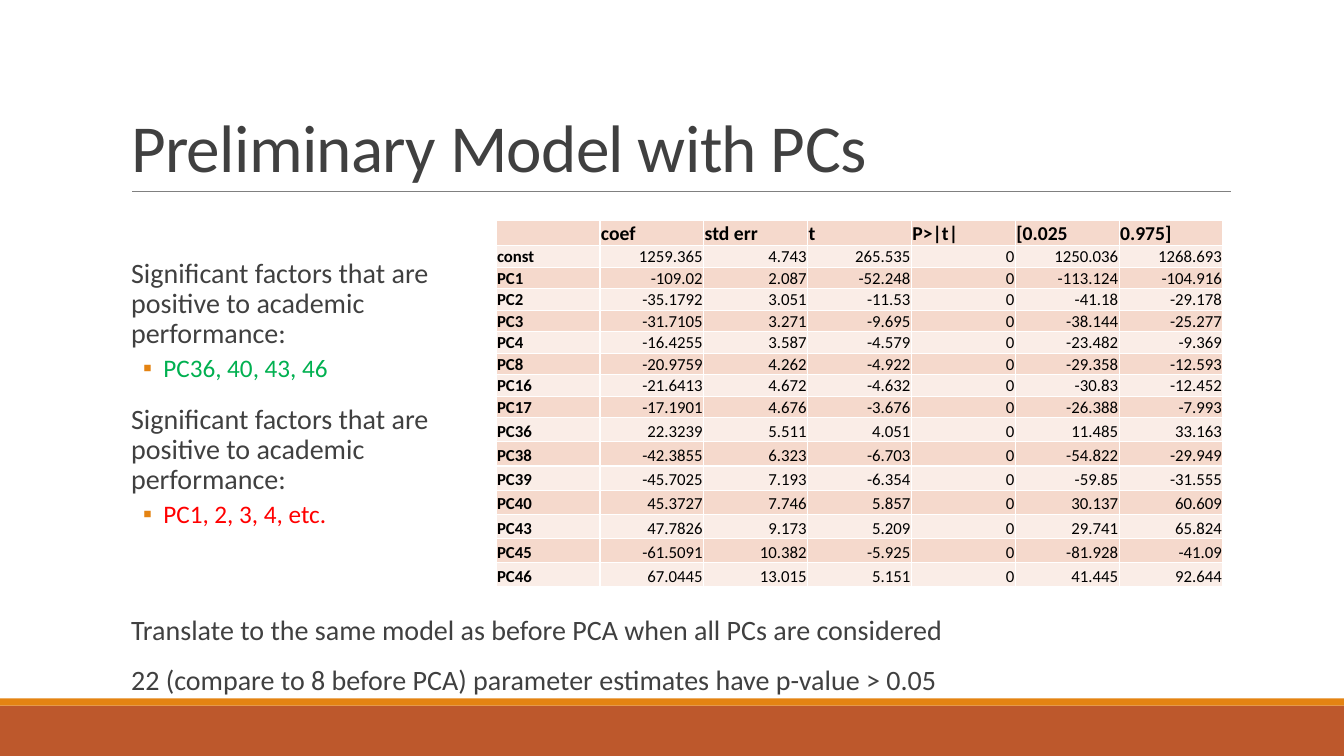
from lxml import etree
from pptx import Presentation
from pptx import util as u
from pptx.dml.color import RGBColor
from pptx.enum import shapes, text
from pptx.oxml.ns import qn

COLORS = {
    "ink": "404040", "black": "000000", "white": "FFFFFF", "rule": "808080",
    "rust": "BD582C", "orange": "E48312", "green": "00B050", "red": "FF0000",
    "band_dark": "F5D9CC", "band_light": "FAEDE7",
}

HEADER = ["", "coef", "std err", "t", "P>|t|", "[0.025", "0.975]"]
ESTIMATES = """
const 1259.365 4.743 265.535 0 1250.036 1268.693
PC1 -109.02 2.087 -52.248 0 -113.124 -104.916
PC2 -35.1792 3.051 -11.53 0 -41.18 -29.178
PC3 -31.7105 3.271 -9.695 0 -38.144 -25.277
PC4 -16.4255 3.587 -4.579 0 -23.482 -9.369
PC8 -20.9759 4.262 -4.922 0 -29.358 -12.593
PC16 -21.6413 4.672 -4.632 0 -30.83 -12.452
PC17 -17.1901 4.676 -3.676 0 -26.388 -7.993
PC36 22.3239 5.511 4.051 0 11.485 33.163
PC38 -42.3855 6.323 -6.703 0 -54.822 -29.949
PC39 -45.7025 7.193 -6.354 0 -59.85 -31.555
PC40 45.3727 7.746 5.857 0 30.137 60.609
PC43 47.7826 9.173 5.209 0 29.741 65.824
PC45 -61.5091 10.382 -5.925 0 -81.928 -41.09
PC46 67.0445 13.015 5.151 0 41.445 92.644
"""
ROW_HEIGHTS = [0.15] + [0.13] * 8 + [0.24] * 7

FACTORS = "Significant factors that are positive to academic performance:"
FINDINGS = [
    (FACTORS, 0, "ink"),
    ("PC36, 40, 43, 46", 1, "green"),
    (FACTORS, 0, "ink"),
    ("PC1, 2, 3, 4, etc.", 1, "red"),
]
REMARKS = [
    ("Translate to the same model as before PCA when all PCs are considered", 0, "ink"),
    ("22 (compare to 8 before PCA) parameter estimates have p-value > 0.05", 0, "ink"),
]


def rgb(name):
    return RGBColor.from_string(COLORS[name])


class SlideBuilder:
    font = "Calibri"
    # per level: size, left margin, indent, space before, space after, bullet
    levels = [(20, 0.1, -0.1, 12, 2, " "), (18, 0.42, -0.2, 2, 4, "▪")]

    def __init__(self, slide):
        self.slide = slide

    def place(self, shape, left, top, width, height):
        shape.left, shape.top = u.Inches(left), u.Inches(top)
        shape.width, shape.height = u.Inches(width), u.Inches(height)

    def style(self, paragraph, size, color, bold=False):
        for run in paragraph.runs:
            run.font.name = self.font
            run.font.size = u.Pt(size)
            run.font.bold = bold
            run.font.color.rgb = rgb(color)

    def bar(self, top, height, color):
        bar = self.slide.shapes.add_shape(
            shapes.MSO_SHAPE.RECTANGLE, 0, u.Inches(top), u.Inches(13.33), u.Inches(height))
        bar.shadow.inherit = False
        bar.fill.solid()
        bar.fill.fore_color.rgb = rgb(color)
        bar.line.fill.background()

    def rule(self, left, right, top):
        rule = self.slide.shapes.add_connector(
            shapes.MSO_CONNECTOR.STRAIGHT,
            u.Inches(left), u.Inches(top), u.Inches(right), u.Inches(top))
        rule.line.color.rgb = rgb("rule")
        rule.line.width = u.Pt(0.5)
        etree.SubElement(rule._element.spPr, qn("a:effectLst"))

    def title(self, wording, *box):
        title = self.slide.shapes.title
        self.place(title, *box)
        frame = title.text_frame
        frame.text = wording
        frame.auto_size = text.MSO_AUTO_SIZE.NONE
        frame.vertical_anchor = text.MSO_ANCHOR.BOTTOM
        paragraph = frame.paragraphs[0]
        paragraph.alignment = text.PP_ALIGN.LEFT
        paragraph.line_spacing = 0.85
        self.style(paragraph, 48, "ink")
        paragraph.runs[0]._r.get_or_add_rPr().set("spc", "-50")

    def bullet(self, paragraph, margin, indent, mark):
        props = paragraph._p.get_or_add_pPr()
        props.set("marL", str(u.Inches(margin)))
        props.set("indent", str(u.Inches(indent)))
        color = etree.SubElement(props, qn("a:buClr"))
        etree.SubElement(color, qn("a:srgbClr"), val=COLORS["orange"])
        etree.SubElement(props, qn("a:buFont"), typeface=self.font)
        etree.SubElement(props, qn("a:buChar"), char=mark)

    def outline(self, shape, items, top_inset=0.05):
        """Fill a text shape with (wording, level, color) items."""
        frame = shape.text_frame
        frame.word_wrap = True
        frame.auto_size = text.MSO_AUTO_SIZE.NONE
        frame.vertical_anchor = text.MSO_ANCHOR.TOP
        frame.margin_left = frame.margin_right = 0
        frame.margin_top, frame.margin_bottom = u.Inches(top_inset), u.Inches(0.05)
        frame.text = "\n".join(wording for wording, _, _ in items)
        for paragraph, (_, level, color) in zip(frame.paragraphs, items):
            size, margin, indent, before, after, mark = self.levels[level]
            paragraph.level = level
            paragraph.alignment = text.PP_ALIGN.LEFT
            paragraph.line_spacing = 0.9
            paragraph.space_before, paragraph.space_after = u.Pt(before), u.Pt(after)
            self.bullet(paragraph, margin, indent, mark)
            self.style(paragraph, size, color)

    def body(self, items, *box):
        body = self.slide.placeholders[1]
        self.place(body, *box)
        self.outline(body, items, top_inset=0.55)

    def text_box(self, items, *box):
        remarks = self.slide.shapes.add_textbox(*map(u.Inches, box))
        self.outline(remarks, items)

    def borders(self, cell):
        props = cell._tc.get_or_add_tcPr()
        for side in "LRTB":
            edge = etree.SubElement(props, qn(f"a:ln{side}"), w=str(u.Pt(1)))
            fill = etree.SubElement(edge, qn("a:solidFill"))
            etree.SubElement(fill, qn("a:srgbClr"), val=COLORS["white"])

    def cell(self, cell, value, row, column):
        self.borders(cell)
        cell.fill.solid()
        cell.fill.fore_color.rgb = rgb("band_light" if row % 2 else "band_dark")
        cell.vertical_anchor = text.MSO_ANCHOR.BOTTOM
        cell.margin_left = cell.margin_right = cell.margin_top = u.Inches(0.01)
        cell.margin_bottom = 0
        is_label = row == 0 or column == 0
        size = 12 if row else 14
        paragraph = cell.text_frame.paragraphs[0]
        if value:
            paragraph.text = value
            paragraph.alignment = text.PP_ALIGN.LEFT if is_label else text.PP_ALIGN.RIGHT
            self.style(paragraph, size, "black", bold=is_label)
        else:
            etree.SubElement(paragraph._p, qn("a:endParaRPr"), sz=str(size * 100))

    def table(self, rows, heights, left, top, width):
        table = self.slide.shapes.add_table(
            len(rows), len(rows[0]), u.Inches(left), u.Inches(top),
            u.Inches(width), u.Inches(sum(heights))).table
        table.first_row = table.horz_banding = False
        for row, (values, height) in enumerate(zip(rows, heights)):
            table.rows[row].height = u.Inches(height)
            for column, value in enumerate(values):
                self.cell(table.cell(row, column), value, row, column)


def main():
    deck = Presentation()
    deck.slide_width, deck.slide_height = u.Inches(13.33), u.Inches(7.5)
    page = SlideBuilder(deck.slides.add_slide(deck.slide_layouts[1]))
    page.bar(7, 0.5, "rust")
    page.bar(6.93, 0.07, "orange")
    page.rule(1.31, 12.21, 1.9)
    page.title("Preliminary Model with PCs", 1.2, 0.31, 11, 1.59)
    page.body(FINDINGS, 1.2, 2.02, 3.62, 3.77)
    rows = [HEADER] + [line.split() for line in ESTIMATES.strip().splitlines()]
    page.table(rows, ROW_HEIGHTS, 4.92, 2.19, 7.21)
    page.text_box(REMARKS, 1.2, 6.07, 10.79, 0.9)
    deck.save("out.pptx")


if __name__ == "__main__":
    main()
